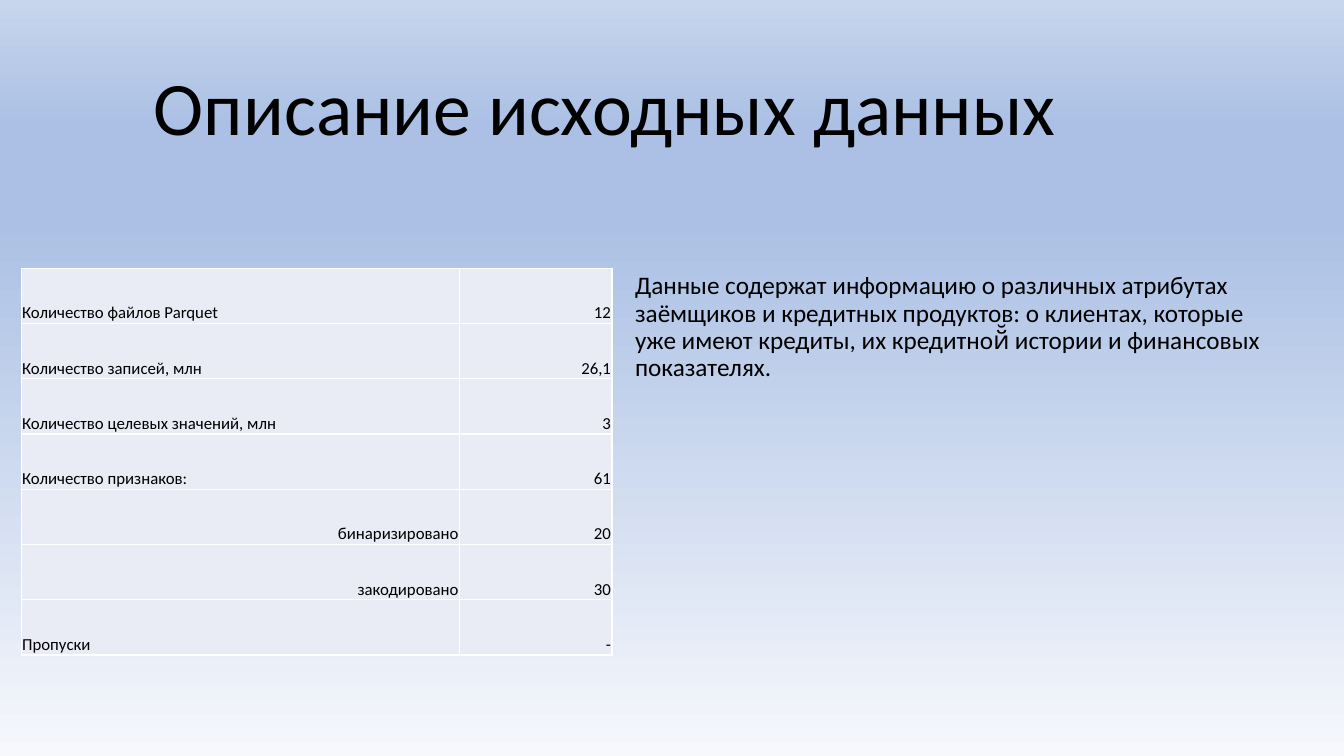
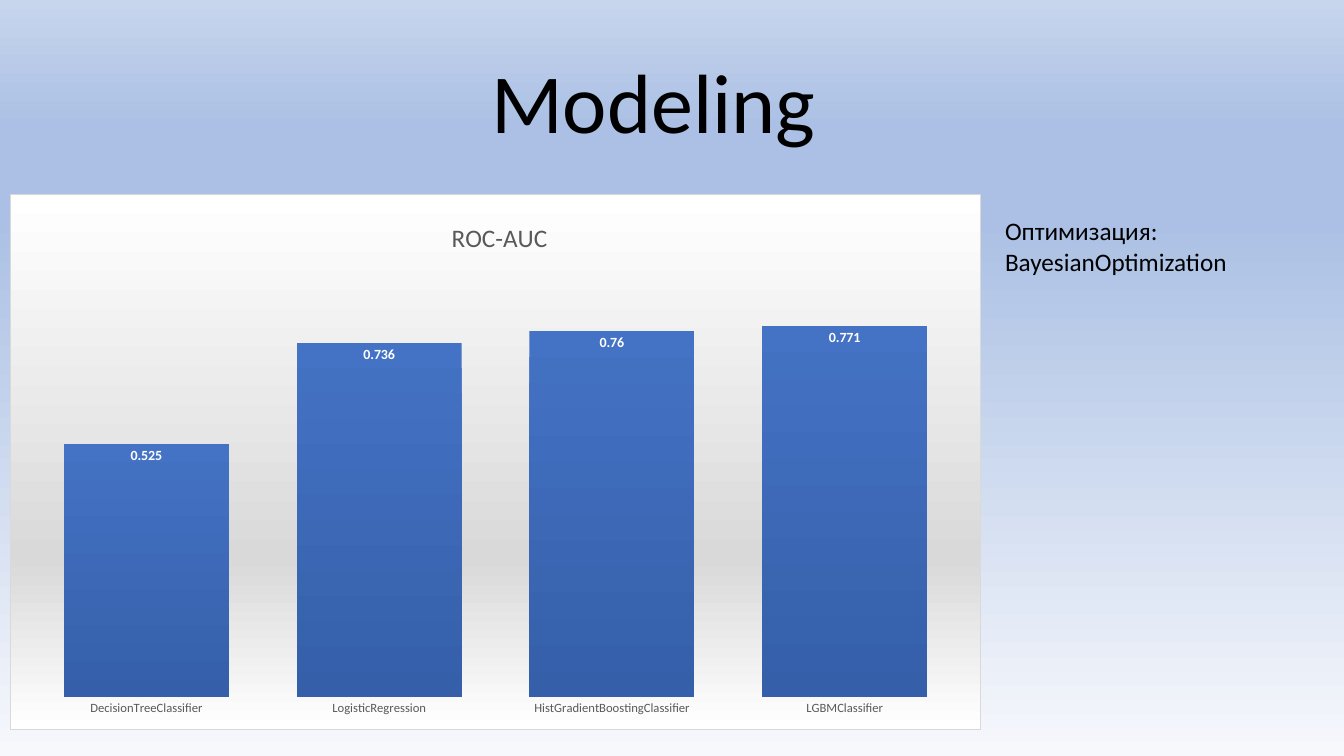
"""Build two slides: a data description and a model comparison."""
from dataclasses import dataclass

from pptx import Presentation
from pptx.chart.chart import Chart
from pptx.chart.data import CategoryChartData
from pptx.dml.color import RGBColor
from pptx.enum.chart import XL_CHART_TYPE as ChartType
from pptx.enum.chart import XL_LABEL_POSITION as LabelPos
from pptx.enum.chart import XL_TICK_MARK as Tick
from pptx.enum.text import MSO_ANCHOR as Anchor
from pptx.enum.text import PP_ALIGN as Align
from pptx.oxml import parse_xml
from pptx.oxml.ns import nsdecls, qn
from pptx.slide import Slide
from pptx.table import _Cell as Cell
from pptx.text.text import TextFrame
from pptx.util import Inches, Pt

FONT = "Calibri"
BLACK = RGBColor(0x00, 0x00, 0x00)
WHITE = RGBColor(0xFF, 0xFF, 0xFF)
GREY = RGBColor(0x59, 0x59, 0x59)
SILVER = RGBColor(0xD9, 0xD9, 0xD9)
CELL_FILL = RGBColor(0xE9, 0xEB, 0xF5)
MIST = RGBColor(0xF6, 0xF8, 0xFC)
SKY = RGBColor(0xAB, 0xC0, 0xE4)
PALE_SKY = RGBColor(0xC7, 0xD5, 0xED)
BLUE = RGBColor(0x44, 0x72, 0xC4)
DEEP_BLUE = RGBColor(0x35, 0x5F, 0xA9)


@dataclass(frozen=True)
class Box:
    left: float
    top: float
    width: float
    height: float

    def inches(self) -> tuple:
        return tuple(map(Inches, (self.left, self.top, self.width, self.height)))


@dataclass(frozen=True)
class Gradient:
    stops: tuple[tuple[int, RGBColor], ...]
    angle: int

    def xml(self) -> str:
        stops = "".join(
            f'<a:gs pos="{pos * 1000}"><a:srgbClr val="{color}"/></a:gs>'
            for pos, color in self.stops
        )
        return (
            f'<a:gradFill {nsdecls("a")} rotWithShape="1"><a:gsLst>{stops}</a:gsLst>'
            f'<a:lin ang="{self.angle * 60000}" scaled="0"/></a:gradFill>'
        )


@dataclass(frozen=True)
class Row:
    label: str
    value: str
    nested: bool = False


@dataclass(frozen=True)
class Score:
    model: str
    auc: float


BACKGROUND = Gradient(((0, MIST), (71, SKY), (83, SKY), (100, PALE_SKY)), 270)
CHART_FILL = Gradient(((0, WHITE), (68, SILVER), (100, WHITE)), 90)
BAR_FILL = Gradient(((0, BLUE), (100, DEEP_BLUE)), 90)

ROWS = (
    Row("Количество файлов Parquet", "12"),
    Row("Количество записей, млн", "26,1"),
    Row("Количество целевых значений, млн", "3"),
    Row("Количество признаков:", "61"),
    Row("бинаризировано", "20", nested=True),
    Row("закодировано", "30", nested=True),
    Row("Пропуски", "-"),
)
SCORES = (
    Score("DecisionTreeClassifier", 0.525),
    Score("LogisticRegression", 0.736),
    Score("HistGradientBoostingClassifier", 0.76),
    Score("LGBMClassifier", 0.771),
)
SUMMARY = (
    "Данные содержат информацию о различных атрибутах заёмщиков и кредитных "
    "продуктов: о клиентах, которые уже имеют кредиты, их кредитной̆ истории "
    "и финансовых показателях."
)


def style_font(font, size: float, color: RGBColor = BLACK, bold: bool = False) -> None:
    font.name, font.size, font.bold = FONT, Pt(size), bold
    font.color.rgb = color


def write(tf: TextFrame, text: str, *, size: float, color: RGBColor = BLACK,
          align: Align = Align.LEFT, spacing: float = 1.0, before: float = 0) -> None:
    for i, line in enumerate(text.split("\n")):
        p = tf.add_paragraph() if i else tf.paragraphs[0]
        p.alignment, p.line_spacing, p.space_before = align, spacing, Pt(before)
        r = p.add_run()
        r.text = line
        style_font(r.font, size, color)


def add_text(s: Slide, box: Box, text: str, *, anchor: Anchor = Anchor.TOP,
             wrap: bool = True, **fmt) -> None:
    tf = s.shapes.add_textbox(*box.inches()).text_frame
    tf.word_wrap, tf.vertical_anchor = wrap, anchor
    write(tf, text, **fmt)


def add_title(s: Slide, box: Box, text: str, size: float) -> None:
    add_text(s, box, text, size=size, align=Align.CENTER, anchor=Anchor.BOTTOM,
             spacing=0.9)


def format_cell(cell: Cell, text: str, align: Align) -> None:
    cell.margin_left = cell.margin_right = cell.margin_top = Inches(0.01)
    cell.margin_bottom = 0
    cell.vertical_anchor = Anchor.BOTTOM
    tc_pr = cell._tc.get_or_add_tcPr()
    for side in "LRTB":
        tc_pr.append(parse_xml(
            f'<a:ln{side} {nsdecls("a")} w="{Pt(1)}"><a:solidFill>'
            f'<a:srgbClr val="{WHITE}"/></a:solidFill></a:ln{side}>'
        ))
    cell.fill.solid()
    cell.fill.fore_color.rgb = CELL_FILL
    write(cell.text_frame, text, size=12, align=align)


def add_data_table(s: Slide, box: Box, rows: tuple[Row, ...],
                   widths: tuple[float, ...]) -> None:
    table = s.shapes.add_table(len(rows), len(widths), *box.inches()).table
    table.first_row = table.horz_banding = False
    for column, width in zip(table.columns, widths):
        column.width = Inches(width)
    for i, row in enumerate(rows):
        label_align = Align.RIGHT if row.nested else Align.LEFT
        format_cell(table.cell(i, 0), row.label, label_align)
        format_cell(table.cell(i, 1), row.value, Align.RIGHT)


def place(element, index: int, **fractions: float) -> None:
    for old in element.findall(qn("c:layout")):
        element.remove(old)
    modes = "".join(f'<c:{k}Mode val="edge"/>' for k in "xy")
    values = "".join(f'<c:{k} val="{v}"/>' for k, v in fractions.items())
    target = '<c:layoutTarget val="inner"/>' if "w" in fractions else ""
    element.insert(index, parse_xml(
        f'<c:layout {nsdecls("c")}><c:manualLayout>{target}{modes}{values}'
        "</c:manualLayout></c:layout>"
    ))


def fill_chart_area(chart: Chart) -> None:
    chart._chartSpace.find(qn("c:chart")).addnext(parse_xml(
        f'<c:spPr {nsdecls("c", "a")}>{CHART_FILL.xml()}<a:ln w="{Pt(0.75)}">'
        f'<a:solidFill><a:srgbClr val="{SILVER}"/></a:solidFill></a:ln></c:spPr>'
    ))


def use_gradient(fill, owner, gradient: Gradient) -> None:
    fill.solid()
    solid = next(owner.iter(qn("a:solidFill")))
    solid.getparent().replace(solid, parse_xml(gradient.xml()))


def add_score_chart(s: Slide, box: Box, scores: tuple[Score, ...]) -> None:
    data = CategoryChartData()
    data.categories = [score.model for score in scores]
    data.add_series("Series 1", [score.auc for score in scores])
    chart = s.shapes.add_chart(ChartType.COLUMN_CLUSTERED, *box.inches(), data).chart
    style_font(chart.font, 10)
    fill_chart_area(chart)
    chart.has_legend = False
    write(chart.chart_title.text_frame, "ROC-AUC", size=18, color=GREY,
          align=Align.CENTER)
    place(chart.chart_title._element, 1, x=0.45, y=0.04)
    place(chart._chartSpace.find(f".//{qn('c:plotArea')}"), 0,
          x=0.02, y=0.13, w=0.96, h=0.81)

    models, values = chart.category_axis, chart.value_axis
    models.major_tick_mark = models.minor_tick_mark = Tick.NONE
    models.format.line.fill.background()
    style_font(models.tick_labels.font, 9, GREY)
    values.visible = values.has_major_gridlines = False
    values.minimum_scale, values.maximum_scale = 0, 0.9

    plot = chart.plots[0]
    plot.gap_width, plot.vary_by_categories = 41, False
    bars = plot.series[0]
    use_gradient(bars.format.fill, bars._element, BAR_FILL)
    labels = bars.data_labels
    labels.show_value, labels.position = True, LabelPos.INSIDE_END
    style_font(labels.font, 10, WHITE, bold=True)


def build_data_slide(s: Slide) -> None:
    add_title(s, Box(1, 0.55, 10, 1.01), "Описание исходных данных", 54)
    add_text(s, Box(6.2, 2.66, 6.65, 1.64), SUMMARY, size=18, spacing=0.9, before=10)
    add_data_table(s, Box(0.21, 2.66, 5.86, 3.84), ROWS, (4.35, 1.51))


def build_model_slide(s: Slide) -> None:
    add_title(s, Box(1.48, 0.54, 10, 1.01), "Modeling", 60)
    add_score_chart(s, Box(0.1, 1.92, 9.63, 5.32), SCORES)
    add_text(s, Box(9.87, 2.09, 2.43, 0.71), "Оптимизация:\nBayesianOptimization",
             size=18, wrap=False)


def main() -> None:
    prs = Presentation()
    prs.slide_width, prs.slide_height = Inches(13.33), Inches(7.5)
    master = prs.slide_master
    use_gradient(master.background.fill, master.element, BACKGROUND)
    for build in (build_data_slide, build_model_slide):
        build(prs.slides.add_slide(prs.slide_layouts[6]))
    prs.save("out.pptx")


if __name__ == "__main__":
    main()
